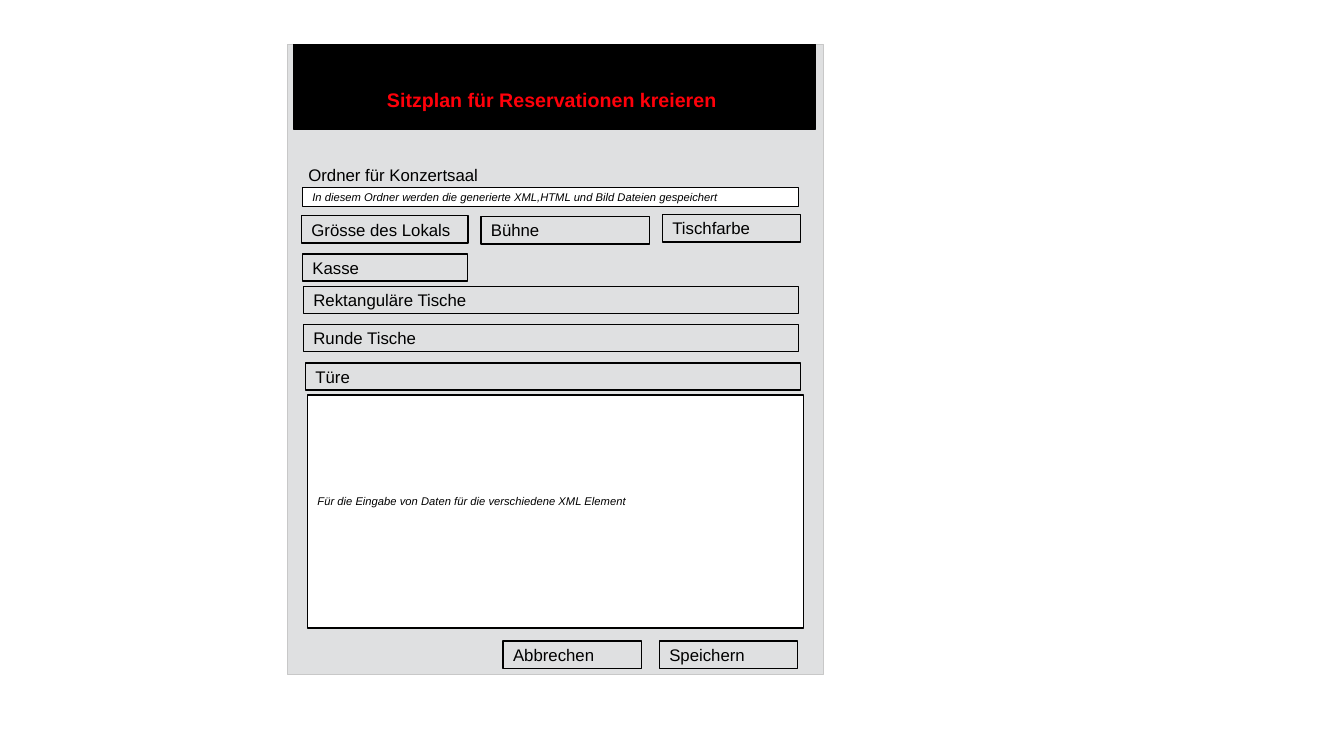
from pptx import Presentation
from pptx.dml.color import RGBColor
from pptx.enum.shapes import MSO_SHAPE as Shape
from pptx.enum.text import MSO_ANCHOR as Anchor, MSO_AUTO_SIZE as AutoSize, PP_ALIGN as Align
from pptx.util import Inches, Pt

FORM = (2.85, 0.44, 5.32, 6.25)
ROW_HEIGHT = 0.27
ROW_STEP = 0.38
BUTTON_WIDTH = 1.37


def color(value):
    """Turn a hex string into a colour."""
    return RGBColor.from_string(value)


def paint(part, fill, line):
    """Set fill and outline; a fill of None leaves the part see-through."""
    if fill:
        part.fill.solid()
        part.fill.fore_color.rgb = color(fill)
    else:
        part.fill.background()
    part.line.color.rgb = color(line)
    part.line.width = Pt(1)


def write(frame, text, size, ink="000000", align=Align.LEFT, bold=False, italic=False):
    """Put one formatted paragraph into a text frame."""
    frame.text = text
    frame.word_wrap = True
    frame.vertical_anchor = Anchor.MIDDLE
    frame.paragraphs[0].alignment = align
    font = frame.paragraphs[0].runs[0].font
    font.name, font.size = "Arial", Pt(size)
    font.bold, font.italic = bold, italic
    font.color.rgb = color(ink)


def add_box(slide, box, fill=None, line="000000"):
    """Add an outlined rectangle."""
    rect = slide.shapes.add_shape(Shape.RECTANGLE, *map(Inches, box))
    rect.shadow.inherit = False
    paint(rect, fill, line)
    return rect


def add_button(slide, left, top, width, label):
    """Add a labelled button of the common height."""
    button = add_box(slide, (left, top, width, ROW_HEIGHT))
    write(button.text_frame, label, 12)


def add_field(slide, box, hint, bottom_inset=0.05):
    """Add a white entry field with an italic hint."""
    field = add_box(slide, box, "FFFFFF")
    write(field.text_frame, hint, 8, italic=True)
    field.text_frame.margin_bottom = Inches(bottom_inset)


def add_header(slide, box):
    """Format the title as a black bar at the top of the form."""
    left, top, width, _ = box
    title = slide.shapes.title
    title.left, title.top = Inches(left + 0.06), Inches(top)
    title.width, title.height = Inches(width - 0.14), Inches(0.84)
    paint(title, "000000", "000000")
    frame = title.text_frame
    write(frame, "Sitzplan für Reservationen kreieren", 14, "FF000A", Align.CENTER, bold=True)
    frame.auto_size = AutoSize.NONE
    frame.margin_top = Inches(0.31)
    frame.margin_right = Inches(0.15)


def add_folder(slide, box):
    """Add the folder label and its field."""
    left, top, width, _ = box
    label = slide.shapes.add_textbox(
        Inches(left + 0.11), Inches(top + 1.14), Inches(2.03), Inches(0.3))
    write(label.text_frame, "Ordner für Konzertsaal", 12)
    add_field(slide, (left + 0.15, top + 1.42, width - 0.4, 0.19),
              "In diesem Ordner werden die generierte XML,HTML und Bild Dateien gespeichert")


def add_elements(slide, box):
    """Add the buttons for the parts of the seating plan."""
    left, top, _, _ = box
    short_buttons = [
        (0.14, 1.7, 1.65, "Grösse des Lokals"),
        (1.92, 1.71, 1.67, "Bühne"),
        (3.72, 1.69, BUTTON_WIDTH, "Tischfarbe"),
        (0.15, 2.08, 1.64, "Kasse"),
    ]
    for x, y, width, label in short_buttons:
        add_button(slide, left + x, top + y, width, label)
    wide_buttons = [(0.16, "Rektanguläre Tische"), (0.16, "Runde Tische"), (0.18, "Türe")]
    for row, (x, label) in enumerate(wide_buttons):
        add_button(slide, left + x, top + 2.4 + row * ROW_STEP, 4.91, label)


def add_entry(slide, box):
    """Add the large data field and the closing buttons."""
    left, top, width, _ = box
    add_field(slide, (left + 0.2, top + 3.48, width - 0.4, 2.31),
              "Für die Eingabe von Daten für die verschiedene XML Element", 0.25)
    for column, label in enumerate(["Abbrechen", "Speichern"]):
        add_button(slide, left + 2.14 + column * 1.55, top + 5.92, BUTTON_WIDTH, label)


def add_form_slide(deck, box):
    """Add the slide with the seating plan form."""
    slide = deck.slides.add_slide(deck.slide_layouts[5])
    panel = add_box(slide, box, "DFE0E1", "C8C8C8")
    slide.shapes.title._element.addprevious(panel._element)
    add_header(slide, box)
    add_folder(slide, box)
    add_elements(slide, box)
    add_entry(slide, box)


def main():
    """Build and save the deck."""
    deck = Presentation()
    deck.slide_width, deck.slide_height = Inches(13.33), Inches(7.5)
    add_form_slide(deck, FORM)
    deck.save("out.pptx")


if __name__ == "__main__":
    main()
